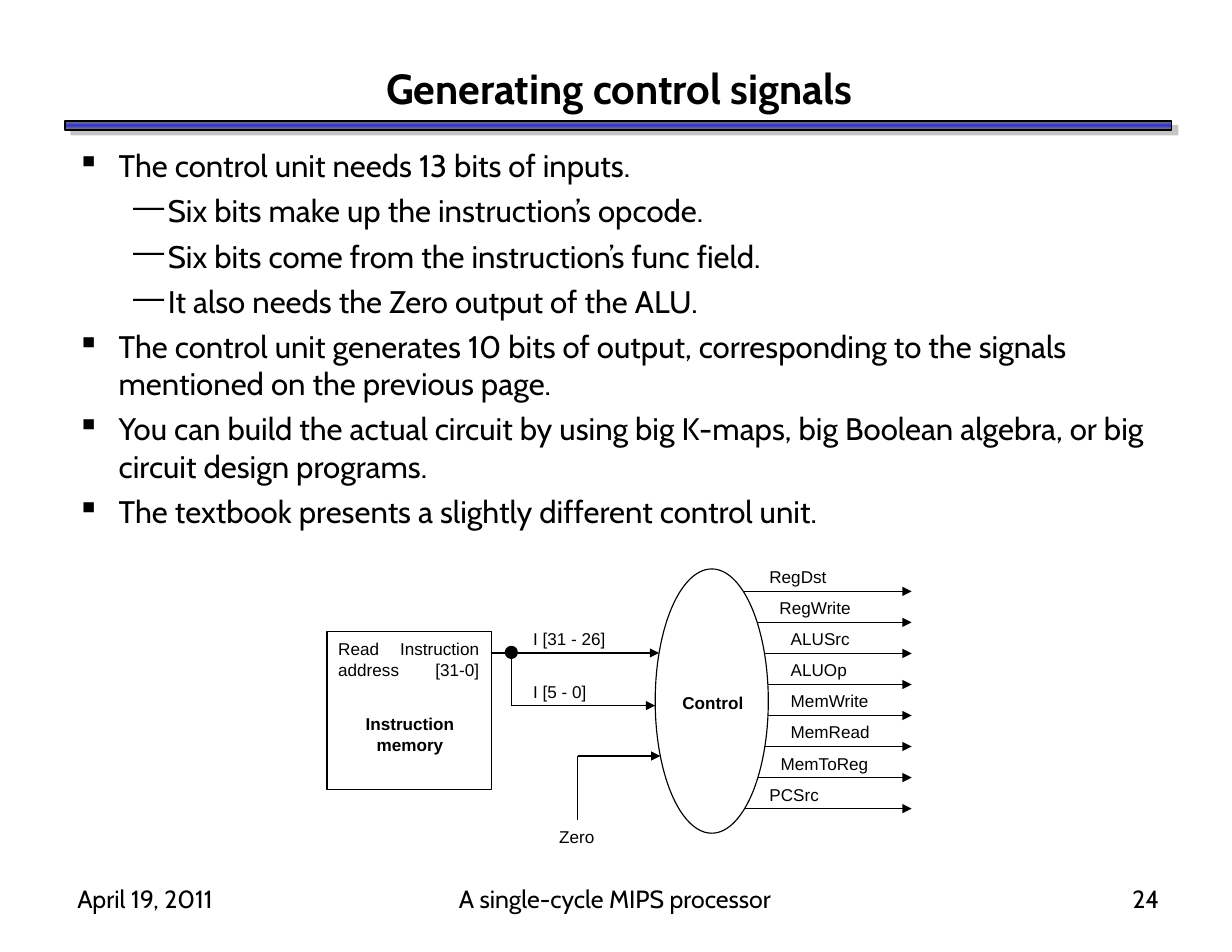
from copy import deepcopy
from dataclasses import dataclass
from math import sqrt

from lxml.etree import SubElement
from pptx import Presentation
from pptx.dml.color import RGBColor
from pptx.enum.shapes import MSO_CONNECTOR as Connector, MSO_SHAPE as Preset
from pptx.enum.text import MSO_ANCHOR as Anchor, MSO_AUTO_SIZE as AutoSize, PP_ALIGN as Align
from pptx.oxml.ns import qn
from pptx.util import Inches, Pt


@dataclass(frozen=True)
class Theme:
    ink: str = "000000"
    bar_edge: str = "808080"
    bar_middle: str = "3333CC"
    shadow: str = "B2B2B2"
    body_font: str = "Cabin"
    diagram_font: str = "Arial"
    title_size: float = 27
    body_size: float = 20
    footer_size: float = 16
    label_size: float = 11
    thin: float = 0.75


class SlideBuilder:
    def __init__(self, slide, theme):
        self.slide = slide
        self.theme = theme

    def color(self, value):
        return RGBColor.from_string(value)

    def style(self, paragraph, text, size, font, bold=False):
        run = paragraph.add_run()
        run.text = text
        run.font.size = Pt(size)
        run.font.name = font
        run.font.bold = bold
        run.font.color.rgb = self.color(self.theme.ink)

    def frame(self, left, top, width, height, anchor=Anchor.TOP):
        box = self.slide.shapes.add_textbox(Inches(left), Inches(top), Inches(width), Inches(height))
        frame = box.text_frame
        frame.margin_left = frame.margin_right = Inches(0.11)
        frame.margin_top = frame.margin_bottom = Inches(0.06)
        frame.vertical_anchor = anchor
        frame.word_wrap = True
        return frame

    def text(self, text, bounds, size, align, bold=False, anchor=Anchor.TOP):
        paragraph = self.frame(*bounds, anchor).paragraphs[0]
        paragraph.alignment = align
        self.style(paragraph, text, size, self.theme.body_font, bold)

    def label(self, lines, left, top, width, align=Align.LEFT, bold=False):
        frame = self.frame(left, top, width, 0.12 + 0.18 * len(lines))
        frame.word_wrap = False
        frame.auto_size = AutoSize.SHAPE_TO_FIT_TEXT
        for index, line in enumerate(lines):
            paragraph = frame.add_paragraph() if index else frame.paragraphs[0]
            paragraph.alignment = align
            self.style(paragraph, line, self.theme.label_size, self.theme.diagram_font, bold)

    def bullets(self, items, bounds):
        frame = self.frame(*bounds)
        for index, (level, text) in enumerate(items):
            paragraph = frame.add_paragraph() if index else frame.paragraphs[0]
            paragraph.level = level
            if index:
                paragraph.space_before = Pt(5)
            mark, margin, indent = (("▪", 0.37, -0.37), ("—", 0.81, -0.31))[level]
            properties = paragraph._p.get_or_add_pPr()
            properties.set("marL", str(Inches(margin)))
            properties.set("indent", str(Inches(indent)))
            bullet_color = SubElement(properties, qn("a:buClr"))
            SubElement(bullet_color, qn("a:srgbClr"), val=self.theme.ink)
            SubElement(properties, qn("a:buChar"), char=mark)
            self.style(paragraph, text, self.theme.body_size, self.theme.body_font)

    def shape(self, preset, left, top, width, height, line=None, fill=None):
        shape = self.slide.shapes.add_shape(
            preset, Inches(left), Inches(top), Inches(width), Inches(height))
        shape.shadow.inherit = False
        shape.line.color.rgb = self.color(self.theme.ink)
        shape.line.width = Pt(line or self.theme.thin)
        if fill:
            shape.fill.solid()
            shape.fill.fore_color.rgb = self.color(fill)
        else:
            shape.fill.background()
        return shape

    def title_bar(self, left, top, width, height):
        theme = self.theme
        bar = self.shape(Preset.RECTANGLE, left, top, width, height, line=1)
        bar.fill.gradient()
        bar.fill.gradient_angle = 90
        properties = bar._element.spPr
        stop_list = properties.find(qn("a:gradFill")).find(qn("a:gsLst"))
        stop_list.append(deepcopy(stop_list[-1]))
        colors = (theme.bar_edge, theme.bar_middle, theme.bar_edge)
        for index, (stop, color) in enumerate(zip(bar.fill.gradient_stops, colors)):
            stop.position = index / 2
            stop.color.rgb = self.color(color)
        shadow = SubElement(
            properties.find(qn("a:effectLst")), qn("a:outerShdw"), blurRad="0",
            dist=str(Pt(5)), dir=str(37 * 60000), algn="ctr", rotWithShape="0")
        shadow_color = SubElement(shadow, qn("a:srgbClr"), val=theme.shadow)
        SubElement(shadow_color, qn("a:alpha"), val="75000")

    def line(self, start, end, arrow=False):
        connector = self.slide.shapes.add_connector(
            Connector.STRAIGHT, *(Inches(value) for value in (*start, *end)))
        connector.line.color.rgb = self.color(self.theme.ink)
        connector.line.width = Pt(self.theme.thin)
        if arrow:
            SubElement(connector.line._get_or_add_ln(), qn("a:tailEnd"), type="triangle")
        SubElement(connector._element.spPr, qn("a:effectLst"))


BULLETS = [
    (0, "The control unit needs 13 bits of inputs."),
    (1, "Six bits make up the instruction’s opcode."),
    (1, "Six bits come from the instruction’s func field."),
    (1, "It also needs the Zero output of the ALU."),
    (0, "The control unit generates 10 bits of output, corresponding to the signals "
        "mentioned on the previous page."),
    (0, "You can build the actual circuit by using big K-maps, big Boolean algebra, "
        "or big circuit design programs."),
    (0, "The textbook presents a slightly different control unit."),
]
FOOTERS = [
    ("April 19, 2011", 0.58, 2.29, Align.LEFT),
    ("A single-cycle MIPS processor", 3.75, 3.48, Align.CENTER),
    ("24", 8.17, 2.29, Align.RIGHT),
]
SIGNALS = [
    ("RegDst", 6.76, 0.74), ("RegWrite", 6.85, 0.86), ("ALUSrc", 6.95, 0.75),
    ("ALUOp", 6.95, 0.73), ("MemWrite", 6.95, 0.92), ("MemRead", 6.95, 0.93),
    ("MemToReg", 6.86, 1.02), ("PCSrc", 6.76, 0.67),
]
CONTROL = (5.85, 5.08, 1.01, 2.36)


def control_edge(y, side):
    left, top, width, height = CONTROL
    offset = (y - top - height / 2) / (height / 2)
    return left + width / 2 + side * width / 2 * sqrt(1 - offset ** 2)


def draw_memory(builder):
    builder.shape(Preset.RECTANGLE, 2.92, 5.64, 1.47, 1.41)
    builder.label(["Read", "address"], 2.91, 5.64, 0.77)
    builder.label(["Instruction", "[31-0]"], 3.46, 5.64, 0.93, Align.RIGHT)
    builder.label(["Instruction", "memory"], 3.15, 6.31, 1.02, Align.CENTER, bold=True)


def draw_inputs(builder):
    opcode_y, func_y, zero_y = 5.83, 6.3, 6.75
    branch_x, zero_x = 4.57, 5.16
    for start_x, y in ((4.38, opcode_y), (branch_x, func_y), (zero_x, zero_y)):
        builder.line((start_x, y), (control_edge(y, -1), y), arrow=True)
    builder.line((branch_x, opcode_y), (branch_x, func_y))
    builder.line((zero_x, zero_y), (zero_x, 7.32))
    builder.shape(Preset.OVAL, 4.52, 5.78, 0.09, 0.09, line=2, fill=builder.theme.ink)
    builder.label(["I [31 - 26]"], 4.65, opcode_y - 0.28, 0.87)
    builder.label(["I [5 - 0]"], 4.65, func_y - 0.28, 0.7)
    builder.label(["Zero"], 4.88, 7.32, 0.54, Align.CENTER)


def draw_control(builder):
    builder.shape(Preset.OVAL, *CONTROL)
    builder.label(["Control"], 5.96, 6.12, 0.81, Align.CENTER, bold=True)
    first_y, last_y = 5.28, 7.22
    step = (last_y - first_y) / (len(SIGNALS) - 1)
    for index, (name, left, width) in enumerate(SIGNALS):
        y = first_y + index * step
        builder.line((control_edge(y, 1), y), (8.14, y), arrow=True)
        builder.label([name], left, y - 0.28, width)


def main():
    presentation = Presentation()
    presentation.slide_width = Inches(11)
    presentation.slide_height = Inches(8.5)
    theme = Theme()
    builder = SlideBuilder(presentation.slides.add_slide(presentation.slide_layouts[6]), theme)
    builder.title_bar(0.58, 1.08, 9.88, 0.08)
    builder.text("Generating control signals", (0.58, 0.5, 9.9, 0.57), theme.title_size,
                 Align.CENTER, bold=True, anchor=Anchor.MIDDLE)
    builder.bullets(BULLETS, (0.58, 1.25, 9.87, 6.5))
    for text, left, width, align in FOOTERS:
        builder.text(text, (left, 7.83, width, 0.57), theme.footer_size, align)
    draw_memory(builder)
    draw_control(builder)
    draw_inputs(builder)
    presentation.save("out.pptx")


if __name__ == "__main__":
    main()
